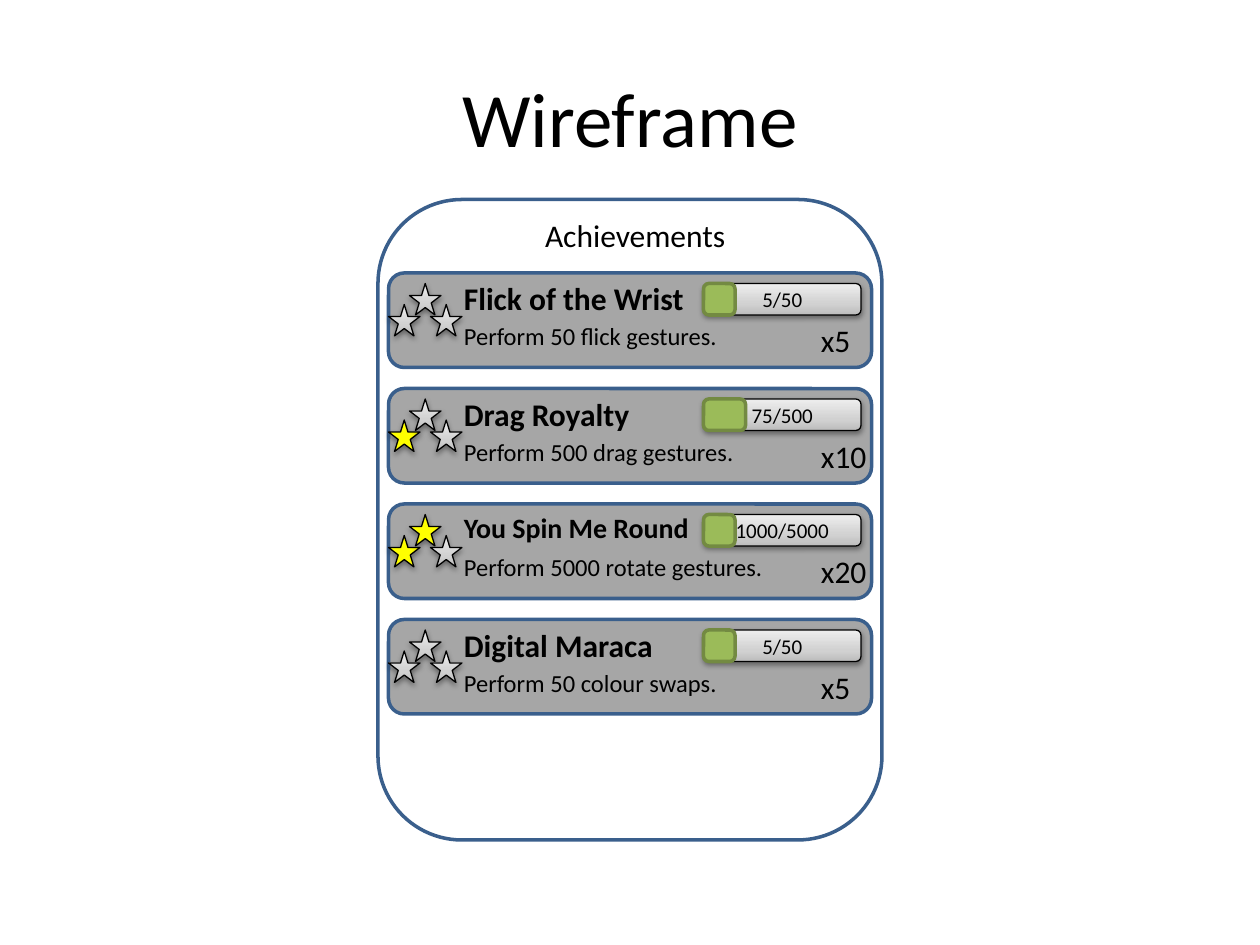
from pptx import Presentation
from pptx.dml.color import RGBColor
from pptx.enum.shapes import MSO_SHAPE
from pptx.enum.text import MSO_ANCHOR, MSO_AUTO_SIZE, PP_ALIGN
from pptx.oxml import parse_xml
from pptx.oxml.ns import nsdecls, qn
from pptx.util import Cm, Pt

ROUND, STAR = MSO_SHAPE.ROUNDED_RECTANGLE, MSO_SHAPE.STAR_5_POINT
LEFT, CENTER = PP_ALIGN.LEFT, PP_ALIGN.CENTER
MIDDLE = MSO_ANCHOR.MIDDLE
GROW = MSO_AUTO_SIZE.SHAPE_TO_FIT_TEXT

TITLE = "Wireframe"
HEADING = "Achievements"
ACHIEVEMENTS = [
    dict(name="Flick of the Wrist", size="large", name_w=25, task="Perform 50 flick gestures.",
         task_w=31, earned=0, reward="x5", progress="5/50", done_w=3),
    dict(name="Drag Royalty", size="large", name_w=25, task="Perform 500 drag gestures.",
         task_w=36, earned=1, reward="x10", progress="75/500", done_w=4),
    dict(name="You Spin Me Round", size="medium", name_w=27, task="Perform 5000 rotate gestures.",
         task_w=36, earned=2, reward="x20", progress="1000/5000", done_w=3),
    dict(name="Digital Maraca", size="large", name_w=25, task="Perform 50 colour swaps.",
         task_w=36, earned=0, reward="x5", progress="5/50", done_w=3),
]

THEME = dict(
    font="Calibri",
    sizes=dict(title=44, large=18, medium=16, body=14, small=12),
    text="000000", panel="FFFFFF", card="A6A6A6", border="3A5F8C",
    star="FFFF00", done="9BBB59", done_border="738A42", outline="000000",
    silver=[(0, "BDBDBD"), (35, "D1D1D1"), (100, "EEEEEE")],
)
UNIT = 2.54 / 12
FIRST_ROW, ROW_PITCH = 26, 11
STARS = [(37, 3), (39, 1), (41, 3)]


def grid(n):
    return Cm(n * UNIT)


def write(tf, text, size, align=LEFT, bold=False):
    tf.text = text
    p = tf.paragraphs[0]
    p.alignment = align
    font = p.runs[0].font
    font.name, font.size, font.bold = THEME["font"], Pt(THEME["sizes"][size]), bold
    font.color.rgb = RGBColor.from_string(THEME["text"])


def add_label(x, y, w, text, size, align=LEFT, bold=False, wrap=True):
    h = Pt(THEME["sizes"][size] * 1.2) + Cm(0.25)
    tf = slide.shapes.add_textbox(grid(x), grid(y), grid(w), h).text_frame
    tf.word_wrap = wrap
    tf.auto_size = GROW
    write(tf, text, size, align, bold)


def add_box(kind, x, y, w, h, fill, border, weight=2.0):
    s = slide.shapes.add_shape(kind, grid(x), grid(y), grid(w), grid(h))
    s.shadow.inherit = False
    if fill == "silver":
        stops = "".join(f'<a:gs pos="{pos * 1000}"><a:srgbClr val="{color}"/></a:gs>'
                        for pos, color in THEME["silver"])
        s.fill.background()
        no_fill = s._element.spPr.find(qn("a:noFill"))
        s._element.spPr.replace(no_fill, parse_xml(
            f'<a:gradFill {nsdecls("a")} rotWithShape="1"><a:gsLst>{stops}</a:gsLst>'
            '<a:lin ang="16200000" scaled="1"/></a:gradFill>'))
    else:
        s.fill.solid()
        s.fill.fore_color.rgb = RGBColor.from_string(THEME[fill])
    s.line.color.rgb = RGBColor.from_string(THEME[border])
    s.line.width = Pt(weight)
    return s


def add_raised(kind, x, y, w, h, fill):
    s = add_box(kind, x, y, w, h, fill, "outline", 0.75)
    s._element.spPr.find(qn("a:effectLst")).append(parse_xml(
        f'<a:outerShdw {nsdecls("a")} blurRad="{Pt(3.1)}" dist="{Pt(1.6)}" dir="5400000" '
        'rotWithShape="0"><a:srgbClr val="000000"><a:alpha val="38000"/></a:srgbClr></a:outerShdw>'))
    return s


def add_achievement(y, item):
    add_box(ROUND, 37, y, 46, 9, "card", "border")
    add_label(43, y, item["name_w"], item["name"], item["size"], bold=True)
    add_label(43, y + 4, item["task_w"], item["task"], "body")
    for i, (x, dy) in enumerate(STARS):
        add_raised(STAR, x, y + dy, 3, 3, "star" if i < item["earned"] else "silver")
    reward_w = 2.4 + 1.45 * len(item["reward"])
    add_label(77, y + 4, reward_w, item["reward"], "large", wrap=False)
    bar = add_raised(ROUND, 67, y + 1, 15, 3, "silver")
    bar.text_frame.vertical_anchor = MIDDLE
    write(bar.text_frame, item["progress"], "small", CENTER)
    add_box(ROUND, 67, y + 1, item["done_w"], 3, "done", "done_border")


prs = Presentation()
prs.slide_width, prs.slide_height = Cm(25.4), Cm(19.05)
slide = prs.slides.add_slide(prs.slide_layouts[5])

title = slide.shapes.title
title.left, title.top, title.width, title.height = Cm(1.27), Cm(0.76), Cm(22.86), Cm(3.18)
title.text_frame.vertical_anchor = MIDDLE
write(title.text_frame, TITLE, "title", CENTER)

add_box(ROUND, 36, 19, 48, 61, "panel", "border")
add_label(46, 20, 29, HEADING, "large", CENTER)
for row, item in enumerate(ACHIEVEMENTS):
    add_achievement(FIRST_ROW + row * ROW_PITCH, item)

prs.save("out.pptx")
